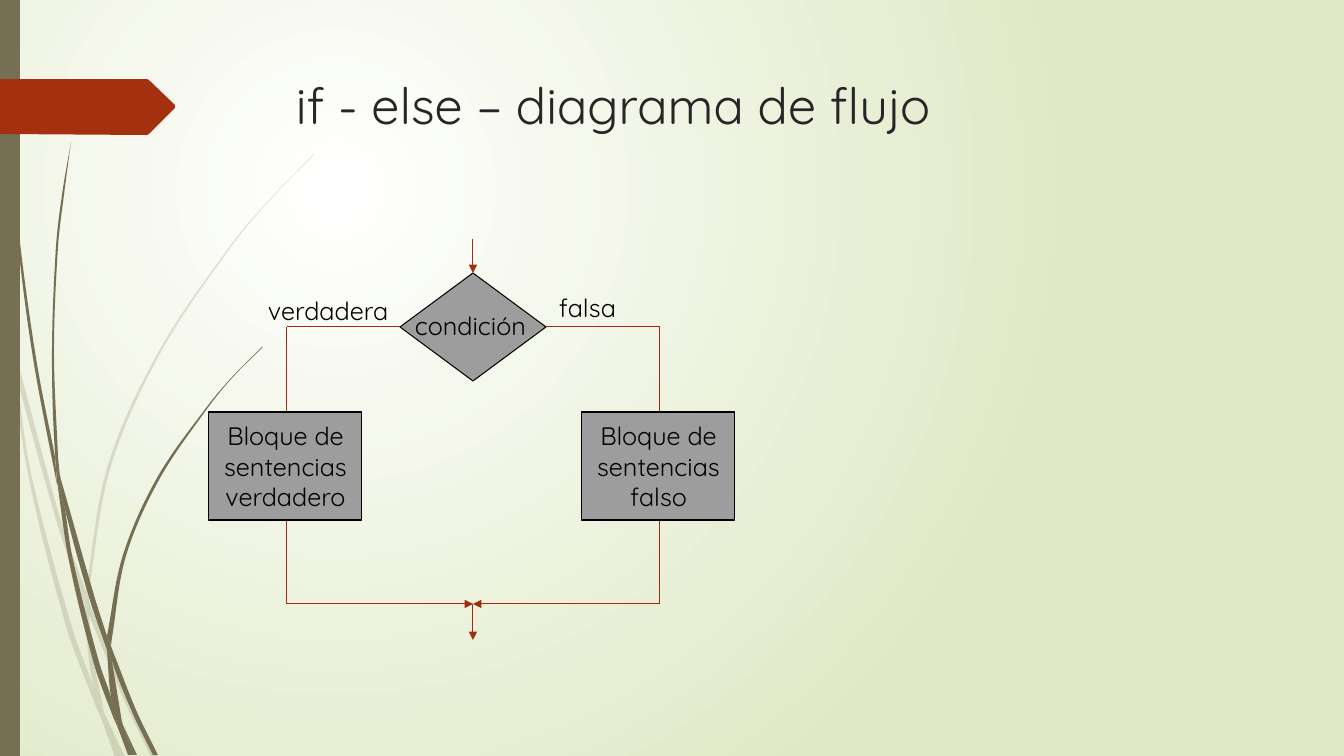
from dataclasses import dataclass
from math import dist

from lxml.etree import SubElement as sub
from pptx import Presentation
from pptx.dml.color import RGBColor as RGB
from pptx.enum.shapes import MSO_CONNECTOR as CONN, MSO_SHAPE as SHAPE
from pptx.enum.text import MSO_ANCHOR as ANCHOR, PP_ALIGN as ALIGN
from pptx.oxml.ns import qn
from pptx.util import Emu, Pt

WIDTH, HEIGHT = 1344, 756
SCALE = 12192000 / WIDTH


@dataclass(frozen=True)
class Theme:
    font: str = "Quicksand"
    title_size: int = 36
    body_size: int = 18
    line_width: float = 0.75
    title: str = "262626"
    ink: str = "000000"
    box: str = "9D9D9D"
    arrow: str = "9E2E0F"
    grass: str = "766F54"
    flag: str = "A53010"
    glow: str = "FFFFFF"
    field: str = "DFE8C4"


THEME = Theme()

# Pieces of grass: the curve along one side, then the curve back along the other
PALE_GRASS = [
    ([(0, 284), (9, 325), (11, 353)], [(10, 347), (0, 301)]),
    ([(17, 379), (58, 526), (85, 604)], [(86, 591), (62, 524), (14, 348)]),
    ([(89, 615), (124, 700), (151, 757)], [(156, 757), (128, 698), (93, 612), (89, 601)]),
    ([(106, 717), (120, 757)], [(125, 757)]),
    ([(11, 353), (28, 474), (66, 626), (93, 699), (102, 720)],
     [(94, 688), (71, 624), (31, 473), (17, 379)]),
    ([(85, 604), (88, 651), (94, 688), (106, 717)], [(104, 712), (92, 651), (89, 615)]),
    ([(314, 154), (270, 199), (230, 246), (159, 351), (108, 465), (86, 589)],
     [(89, 601), (89, 589), (111, 466), (161, 352), (231, 247), (270, 200), (314, 155)]),
    ([(102, 720), (115, 757)], [(120, 757)]),
    ([(86, 591), (85, 604)], [(89, 615), (89, 601)]),
    ([(94, 688), (100, 713), (102, 720), (120, 757)], [(106, 717), (97, 698)]),
]
DARK_GRASS = [
    ([(3, 0), (5, 48), (7, 111), (17, 235), (33, 358), (57, 485)],
     [(55, 457), (36, 358), (19, 234), (8, 110), (5, 48), (4, 0)]),
    ([(60, 476), (65, 509), (89, 597), (107, 650)], [(107, 636), (94, 595), (60, 476)]),
    ([(111, 646), (112, 661), (133, 714), (153, 755)], [(158, 755), (137, 712), (114, 654)]),
    ([(57, 481), (69, 561), (94, 664), (112, 714), (118, 728)],
     [(117, 723), (111, 697), (99, 662), (73, 560), (65, 509)]),
    ([(71, 142), (62, 195), (56, 247), (52, 352), (55, 453), (60, 476)],
     [(58, 457), (54, 352), (58, 247), (64, 195), (71, 142)]),
    ([(123, 725), (134, 755)], [(137, 755)]),
    ([(55, 453), (57, 481)], [(65, 509), (60, 476)]),
    ([(262, 347), (233, 376), (206, 408), (157, 478), (123, 555), (107, 636)],
     [(111, 646), (112, 638), (126, 556), (159, 480), (207, 409), (233, 377), (263, 347)]),
    ([(118, 728), (128, 755)], [(132, 755)]),
    ([(107, 650), (111, 697), (117, 712), (123, 725)], [(122, 722), (112, 661)]),
    ([(107, 636), (107, 650)], [(112, 661), (111, 646)]),
    ([(111, 697), (117, 723), (118, 728), (131, 755)], [(134, 755), (123, 725)]),
]
FLAG = [(0, 79), (147, 79), (149, 80), (175, 105), (175, 108), (149, 134), (147, 135), (0, 134)]


def px(n):
    return Emu(round(n * SCALE))


def paint(sp, fill, line=None):
    sp.shadow.inherit = False
    sp.fill.solid()
    sp.fill.fore_color.rgb = RGB.from_string(fill)
    if line:
        sp.line.color.rgb = RGB.from_string(line)
        sp.line.width = Pt(THEME.line_width)
    else:
        sp.line.fill.background()


def write(sp, text, size, color, align=ALIGN.LEFT, anchor=ANCHOR.TOP):
    tf = sp.text_frame
    tf.word_wrap = True
    tf.vertical_anchor = anchor
    p = tf.paragraphs[0]
    p.text = text
    p.alignment = align
    p.font.name = THEME.font
    p.font.size = Pt(size)
    p.font.color.rgb = RGB.from_string(color)


def add_label(s, box, text, size=THEME.body_size, color=THEME.ink):
    write(s.shapes.add_textbox(*map(px, box)), text, size, color)


def add_box(s, shape, box, fill, line=None):
    sp = s.shapes.add_shape(shape, *map(px, box))
    paint(sp, fill, line)
    return sp


def add_line(s, start, end, arrow=False):
    c = s.shapes.add_connector(CONN.STRAIGHT, *map(px, start + end))
    c.line.color.rgb = RGB.from_string(THEME.arrow)
    c.line.width = Pt(THEME.line_width)
    if arrow:
        sub(c.line._get_or_add_ln(), qn("a:tailEnd"), type="triangle")
    sub(c._element.spPr, qn("a:effectLst"))


def add_outline(s, points, fill):
    corners = [(px(x), px(y)) for x, y in points]
    builder = s.shapes.build_freeform(*corners[0])
    builder.add_line_segments(corners[1:])
    sp = builder.convert_to_shape()
    paint(sp, fill)
    return sp


def curve_side(steps, knots):
    """Turn the straight steps between knots into smooth Bézier curves."""
    padded = [knots[0], *knots, knots[-1]]
    for step, a, b, c, d in zip(steps, padded, padded[1:], padded[2:], padded[3:]):
        reach = dist(b, c) / 3
        first = [q + (r - p) * reach / dist(a, c) for p, q, r in zip(a, b, c)]
        second = [q - (r - p) * reach / dist(b, d) for p, q, r in zip(b, c, d)]
        step.tag = qn("a:cubicBezTo")
        for i, (x, y) in enumerate((first, second)):
            pt = sub(step, qn("a:pt"), x=str(round(x)), y=str(round(y)))
            step.insert(i, pt)


def add_blade(s, there, back, opacity=100):
    sp = add_outline(s, there + back, THEME.grass)
    steps = sp._element.findall(".//" + qn("a:lnTo"))
    knots = [(int(pt.get("x")), int(pt.get("y")))
             for pt in sp._element.iter(qn("a:pt"))]
    n, end = len(there), len(there) + len(back)
    curve_side(steps[:n - 1], knots[:n])
    curve_side(steps[n:end - 1], knots[n:end])
    if opacity < 100:
        color = sp._element.spPr.find(qn("a:solidFill"))[0]
        sub(color, qn("a:alpha"), val=str(opacity * 1000))


def set_background(s):
    fill = s.background.fill
    fill.gradient()
    for stop, color in zip(fill.gradient_stops, (THEME.glow, THEME.field)):
        stop.color.rgb = RGB.from_string(color)
    grad = s.element.find(".//" + qn("a:gradFill"))
    grad.remove(grad.find(qn("a:lin")))
    circle = sub(grad, qn("a:path"), path="circle")
    sub(circle, qn("a:fillToRect"), l="50000", t="50000", r="100000", b="100000")


def add_decoration(s):
    for there, back in PALE_GRASS:
        add_blade(s, there, back, opacity=20)
    for there, back in DARK_GRASS:
        add_blade(s, there, back)
    add_box(s, SHAPE.RECTANGLE, (0, 0, 20, HEIGHT), THEME.grass)
    add_outline(s, FLAG, THEME.flag)


def add_flowchart(s):
    left, mid, right, top, join = 287, 473, 660, 327, 604
    half_w, half_h = 73, 54

    # Condition
    add_box(s, SHAPE.FLOWCHART_DECISION,
            (mid - half_w, top - half_h, 2 * half_w, 2 * half_h), THEME.box, THEME.ink)
    for x, y, text in ((405, 305, "condición"), (549, 287, "falsa"), (258, 290, "verdadera")):
        add_label(s, (x, y, 163, 40), text)

    # Entry and exit
    add_line(s, (mid, 239), (mid, top - half_h), arrow=True)
    add_line(s, (mid, join), (mid, 640), arrow=True)

    # Branches
    for x, corner, text in ((left, mid - half_w, "verdadero"), (right, mid + half_w, "falso")):
        add_line(s, (corner, top), (x, top))
        add_line(s, (x, top), (x, join))
        add_line(s, (x, join), (mid, join), arrow=True)
        block = add_box(s, SHAPE.FLOWCHART_PROCESS, (x - 78, 412, 153, 108),
                        THEME.box, THEME.ink)
        write(block, f"Bloque de sentencias {text}", THEME.body_size, THEME.ink,
              ALIGN.CENTER, ANCHOR.MIDDLE)


def main():
    prs = Presentation()
    prs.slide_width, prs.slide_height = px(WIDTH), px(HEIGHT)
    s = prs.slides.add_slide(prs.slide_layouts[6])
    set_background(s)
    add_decoration(s)
    add_label(s, (286, 69, 983, 141), "if - else – diagrama de flujo",
              THEME.title_size, THEME.title)
    add_flowchart(s)
    prs.save("out.pptx")


if __name__ == "__main__":
    main()
